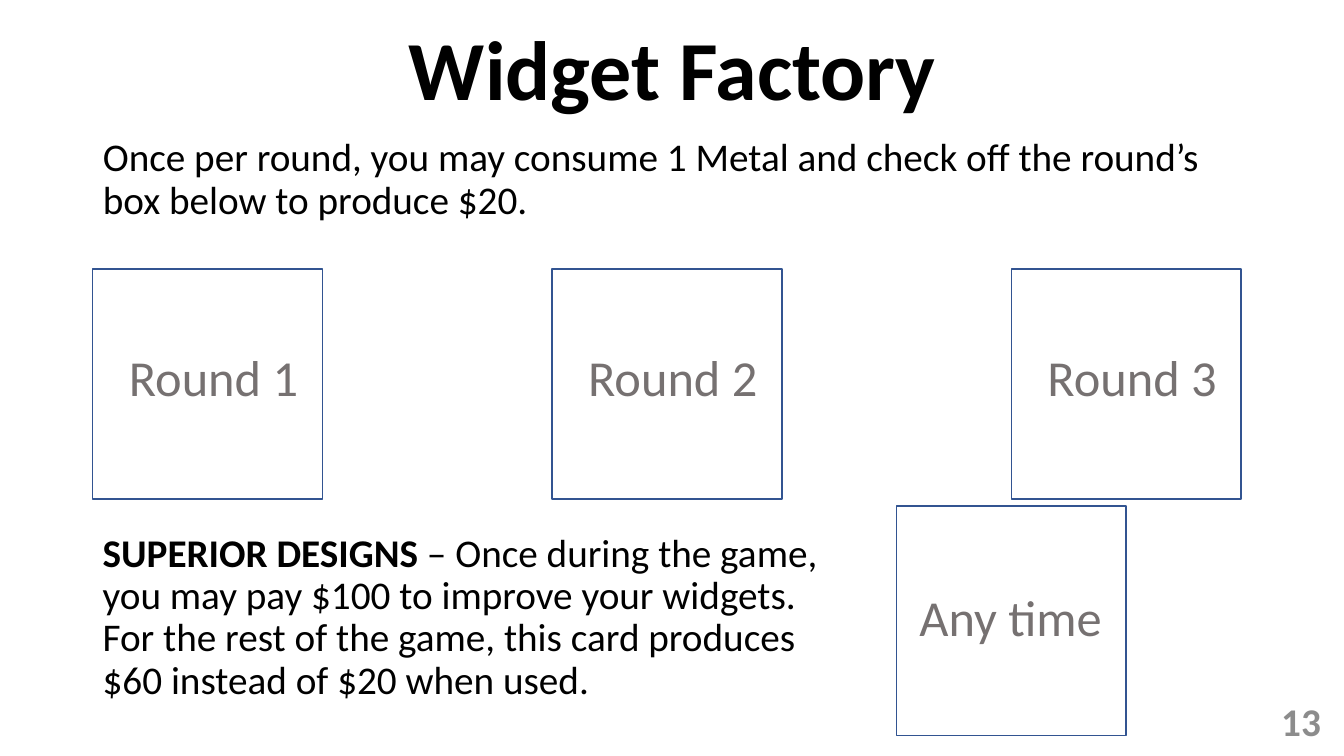
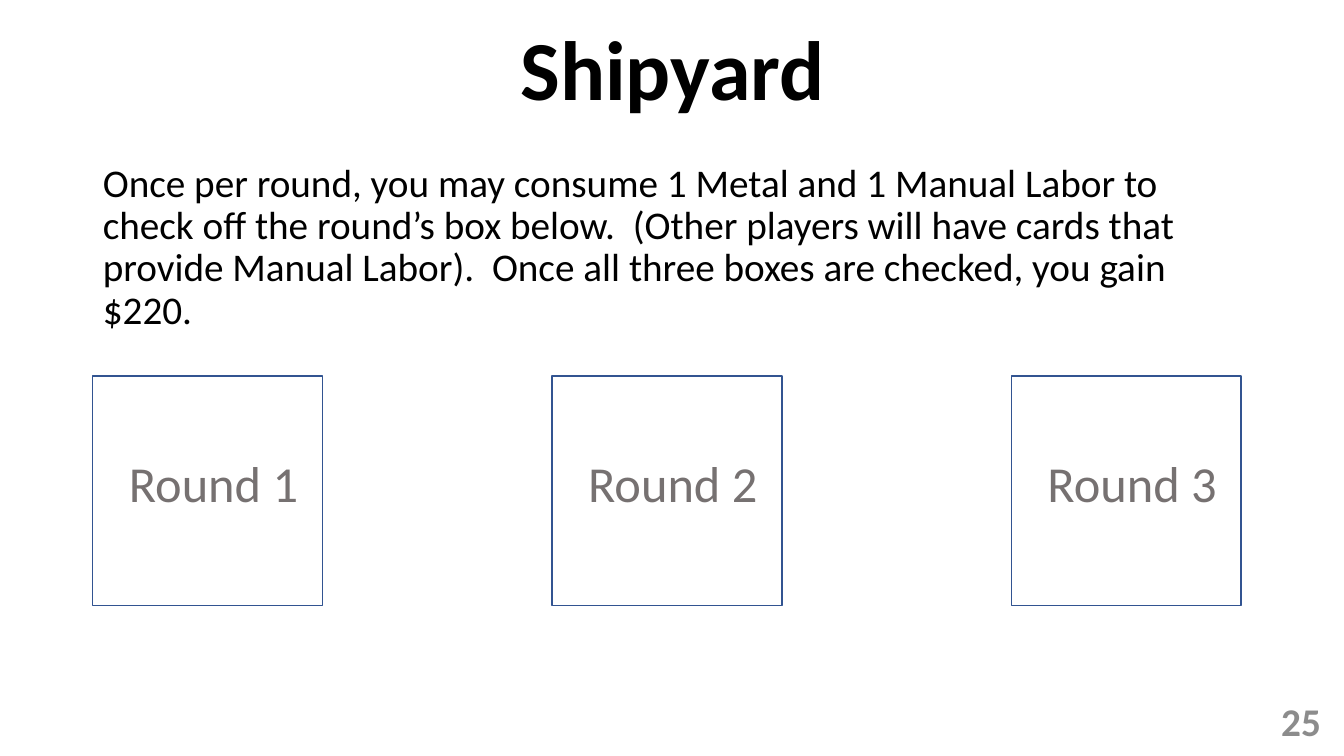
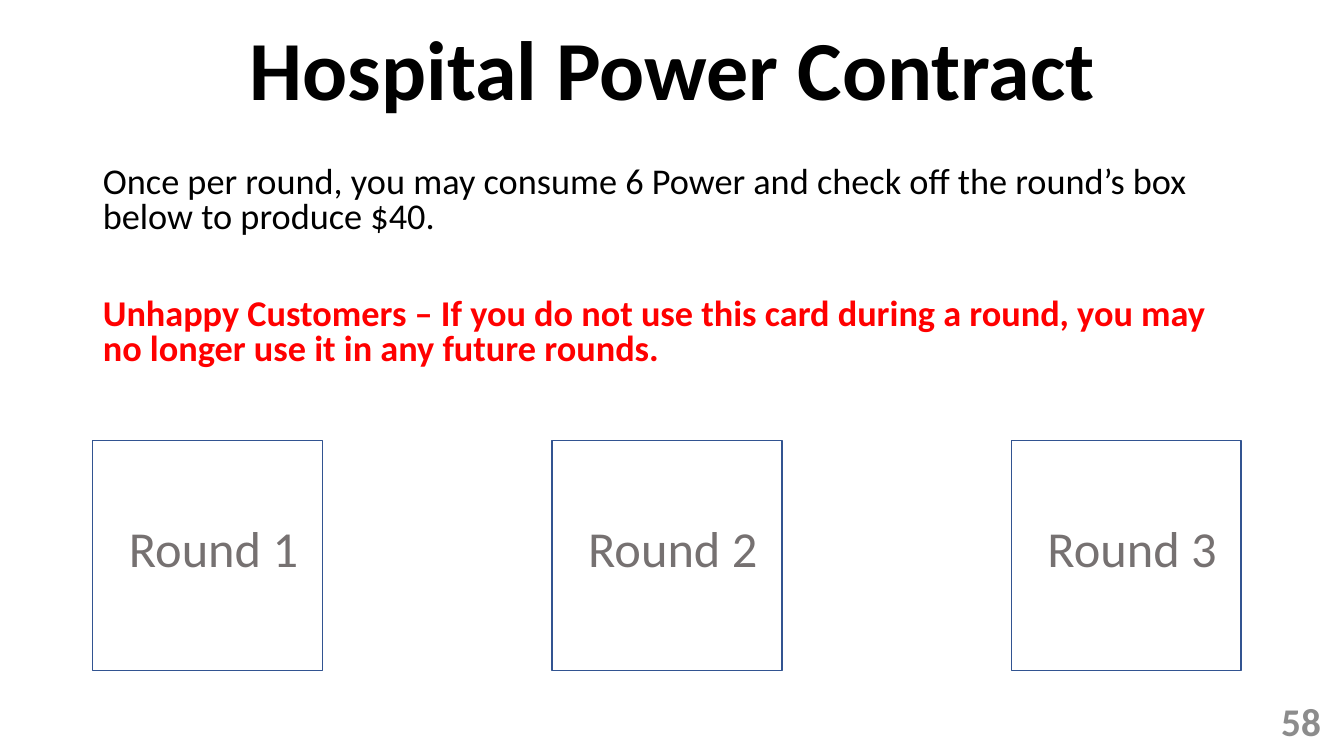
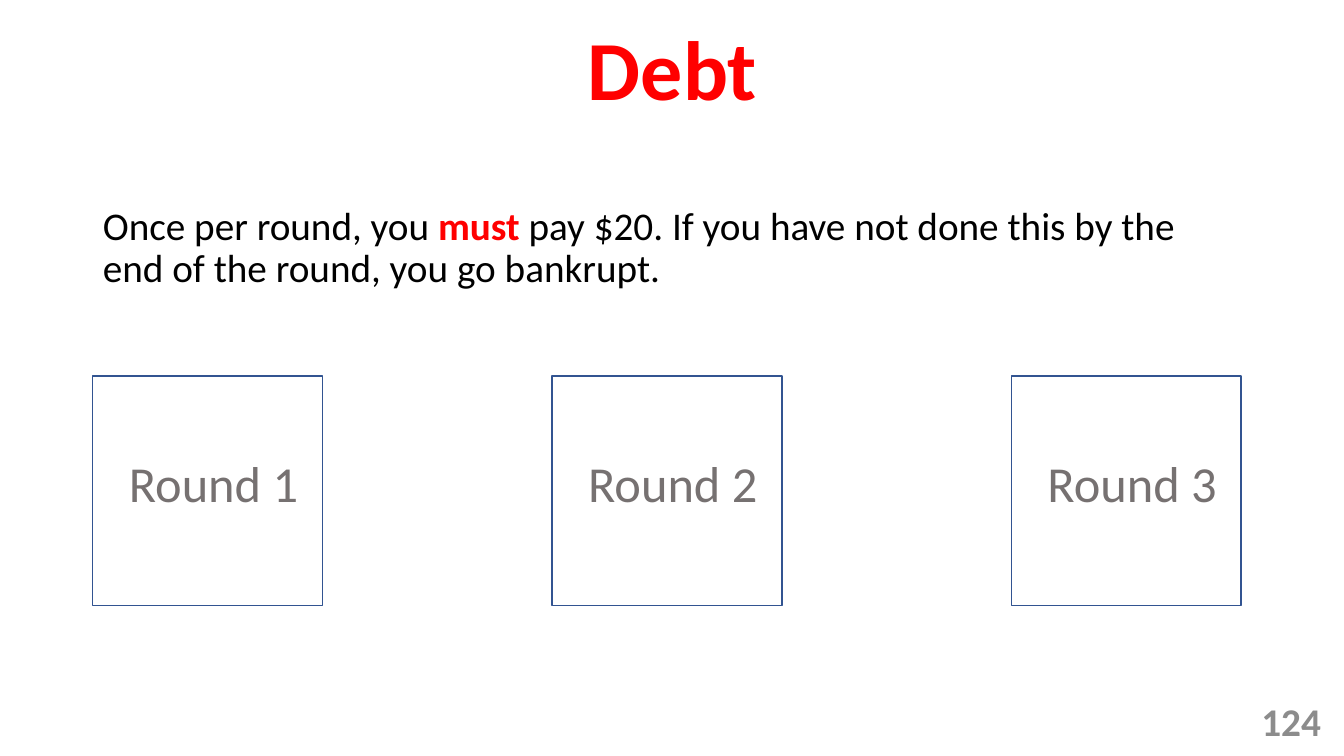
"""Build four game cards with rules text and round check-off boxes."""
from lxml.etree import SubElement
from pptx import Presentation
from pptx.dml.color import RGBColor
from pptx.enum.shapes import MSO_SHAPE
from pptx.enum.text import MSO_ANCHOR, MSO_AUTO_SIZE, PP_ALIGN
from pptx.oxml.ns import qn
from pptx.util import Inches, Pt

BLACK, RED, WHITE = "000000", "FF0000", "FFFFFF"
LABEL_GRAY, NUMBER_GRAY, BOX_BLUE = "767171", "8C8C8C", "325491"

LEFT, CONTENT_WIDTH = 0.92, 11.5
BOX_SIZE, BOX_STEP = 2.28, 4.555
LABEL_WIDTH, LABEL_HEIGHT = 2.02, 0.71

TITLE_FONT = {"name": "Calibri", "size": Pt(60), "bold": True}
RULES_FONT = {"name": "Calibri", "size": Pt(28), "bold": False}
LABEL_FONT = {"name": "Calibri", "size": Pt(36), "bold": False}
NUMBER_FONT = {"name": "Calibri", "size": Pt(28), "bold": True}

FIXED_FRAME = {"word_wrap": True, "auto_size": MSO_AUTO_SIZE.NONE, "vertical_anchor": MSO_ANCHOR.TOP}
MIDDLE_FRAME = {**FIXED_FRAME, "vertical_anchor": MSO_ANCHOR.MIDDLE}
LABEL_FRAME = {**FIXED_FRAME, "auto_size": MSO_AUTO_SIZE.SHAPE_TO_FIT_TEXT}

TITLE_PARAGRAPH = {"alignment": PP_ALIGN.CENTER, "line_spacing": 0.9}
RULES_PARAGRAPH = {"alignment": PP_ALIGN.LEFT, "line_spacing": 0.9, "space_before": Pt(0)}
TIGHT_PARAGRAPH = {**RULES_PARAGRAPH, "line_spacing": 0.8}
WARNING_PARAGRAPH = {**TIGHT_PARAGRAPH, "space_before": Pt(45)}
LABEL_PARAGRAPH = {"alignment": PP_ALIGN.LEFT}
NUMBER_PARAGRAPH = {"alignment": PP_ALIGN.RIGHT}

cards = [
    {
        "title": "Widget Factory", "title_color": BLACK, "number": "13",
        "rules_top": 1.32, "rules_height": 1.54, "rules_size": 28, "boxes_top": 2.67,
        "rules": [(RULES_PARAGRAPH, [
            ("Once per round, you may consume 1 Metal and check off the round’s box below to produce $20.", BLACK, False),
        ])],
        "upgrade": [
            ("SUPERIOR DESIGNS", BLACK, True),
            (" – Once during the game, you may pay $100 to improve your widgets.  "
             "For the rest of the game, this card produces $60 instead of $20 when used.", BLACK, False),
        ],
    },
    {
        "title": "Shipyard", "title_color": BLACK, "number": "25",
        "rules_top": 1.57, "rules_height": 1.97, "rules_size": 28, "boxes_top": 3.73,
        "rules": [(RULES_PARAGRAPH, [
            ("Once per round, you may consume 1 Metal and 1 Manual Labor to check off the round’s box below.  "
             "(Other players will have cards that provide Manual Labor).  "
             "Once all three boxes are checked, you gain $220.", BLACK, False),
        ])],
    },
    {
        "title": "Hospital Power Contract", "title_color": BLACK, "number": "58",
        "rules_top": 1.6, "rules_height": 2.28, "rules_size": 25.9, "boxes_top": 4.37,
        "rules": [
            (TIGHT_PARAGRAPH, [
                ("Once per round, you may consume 6 Power and check off the round’s box below to produce $40.", BLACK, False),
            ]),
            (WARNING_PARAGRAPH, [
                ("Unhappy Customers – If you do not use this card during a round, "
                 "you may no longer use it in any future rounds.", RED, True),
            ]),
        ],
    },
    {
        "title": "Debt", "title_color": RED, "number": "124",
        "rules_top": 2, "rules_height": 1.54, "rules_size": 28, "boxes_top": 3.73,
        "rules": [(RULES_PARAGRAPH, [
            ("Once per round, you ", BLACK, False),
            ("must", RED, True),
            (" pay $20. If you have not done this by the end of the round, you go bankrupt.", BLACK, False),
        ])],
    },
]


def color(hex_value):
    return RGBColor.from_string(hex_value)


def write(holder, place, frame_format, font_format, paragraphs):
    holder.left, holder.top, holder.width, holder.height = map(Inches, place)
    frame = holder.text_frame
    for key, value in frame_format.items():
        setattr(frame, key, value)
    for index, (paragraph_format, runs) in enumerate(paragraphs):
        paragraph = frame.add_paragraph() if index else frame.paragraphs[0]
        if holder.is_placeholder:
            properties = paragraph._p.get_or_add_pPr()
            properties.set("marL", "0")
            properties.set("indent", "0")
            SubElement(properties, qn("a:buNone"))
        for key, value in paragraph_format.items():
            setattr(paragraph, key, value)
        for text, text_color, bold in runs:
            run = paragraph.add_run()
            run.text = text
            for key, value in {**font_format, "bold": bold}.items():
                setattr(run.font, key, value)
            run.font.color.rgb = color(text_color)


presentation = Presentation()
presentation.slide_width = Inches(13.33)
presentation.slide_height = Inches(7.5)

for card in cards:
    slide = presentation.slides.add_slide(presentation.slide_layouts[1])
    write(slide.shapes.title, (LEFT, 0, CONTENT_WIDTH, 1.45), MIDDLE_FRAME, TITLE_FONT,
          [(TITLE_PARAGRAPH, [(card["title"], card["title_color"], True)])])
    write(slide.placeholders[1], (LEFT, card["rules_top"], CONTENT_WIDTH, card["rules_height"]),
          FIXED_FRAME, {**RULES_FONT, "size": Pt(card["rules_size"])}, card["rules"])

    checkboxes = [(f"Round {turn + 1}", LEFT + turn * BOX_STEP, card["boxes_top"], 0.26, 0.71) for turn in range(3)]
    if "upgrade" in card:
        write(slide.shapes.add_textbox(0, 0, 0, 0), (LEFT, 5.24, 7.53, 1.85), FIXED_FRAME, RULES_FONT,
              [(RULES_PARAGRAPH, card["upgrade"])])
        checkboxes.append(("Any time", 8.89, 5.02, 0.13, 0.75))

    for label, left, top, label_indent, label_drop in checkboxes:
        checkbox = slide.shapes.add_shape(
            MSO_SHAPE.RECTANGLE, Inches(left), Inches(top), Inches(BOX_SIZE), Inches(BOX_SIZE))
        checkbox.shadow.inherit = False
        checkbox.fill.solid()
        checkbox.fill.fore_color.rgb = color(WHITE)
        checkbox.line.color.rgb = color(BOX_BLUE)
        checkbox.line.width = Pt(1)
        write(slide.shapes.add_textbox(0, 0, 0, 0),
              (left + label_indent, top + label_drop, LABEL_WIDTH, LABEL_HEIGHT),
              LABEL_FRAME, LABEL_FONT, [(LABEL_PARAGRAPH, [(label, LABEL_GRAY, False)])])

    write(slide.shapes.add_textbox(0, 0, 0, 0), (10.2, 6.95, 3, 0.4), MIDDLE_FRAME, NUMBER_FONT,
          [(NUMBER_PARAGRAPH, [(card["number"], NUMBER_GRAY, True)])])

presentation.save("out.pptx")
